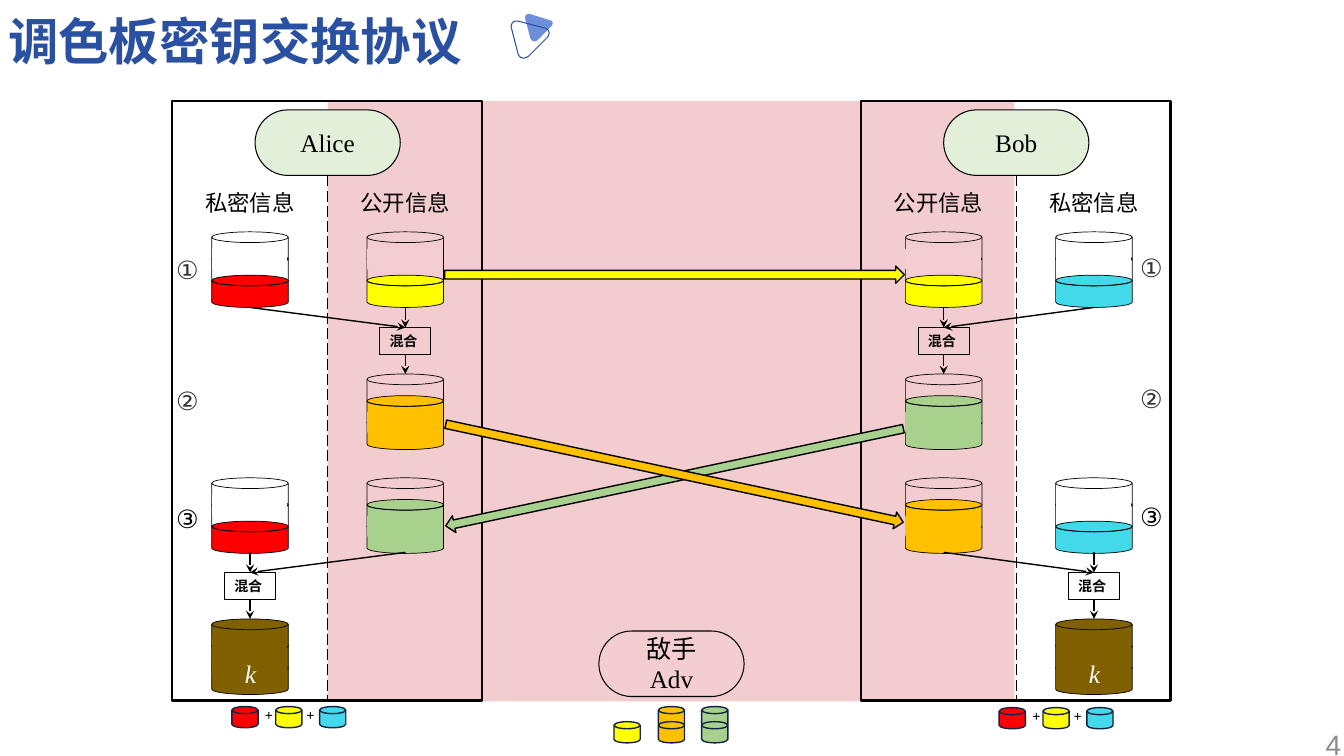
from lxml.etree import SubElement
from pptx import Presentation
from pptx.dml.color import RGBColor
from pptx.enum.dml import MSO_LINE
from pptx.enum.shapes import MSO_CONNECTOR, MSO_SHAPE as Preset
from pptx.enum.text import MSO_ANCHOR as Anchor, MSO_AUTO_SIZE as AutoSize, PP_ALIGN as Align
from pptx.oxml.ns import qn
from pptx.util import Inches, Pt

BLACK = RGBColor(0x00, 0x00, 0x00)
WHITE = RGBColor(0xFF, 0xFF, 0xFF)
DARK_GREY = RGBColor(0x33, 0x33, 0x33)
GREY = RGBColor(0x8C, 0x8C, 0x8C)
TITLE_BLUE = RGBColor(0x2A, 0x50, 0xA1)
LIGHT_BLUE = RGBColor(0x6D, 0x8F, 0xD9)
NAVY = RGBColor(0x12, 0x23, 0x47)
PINK = RGBColor(0xF0, 0xC0, 0xC3)
PALE_PINK = RGBColor(0xF4, 0xCE, 0xD0)
ADVERSARY_PINK = RGBColor(0xF3, 0xCD, 0xCF)
PALE_GREEN = RGBColor(0xE2, 0xF0, 0xD9)
RED = RGBColor(0xFF, 0x00, 0x00)
CYAN = RGBColor(0x42, 0xDA, 0xEA)
YELLOW = RGBColor(0xFF, 0xFF, 0x00)
ORANGE = RGBColor(0xFF, 0xC0, 0x00)
GREEN = RGBColor(0xA9, 0xD1, 0x8E)
BROWN = RGBColor(0x80, 0x60, 0x00)

SERIF = "Times New Roman"
SANS = "Arial"
JAR_WIDTH = 0.76
DISK_STEP = 0.215
ALICE_PRIVATE, ALICE_PUBLIC, BOB_PUBLIC, BOB_PRIVATE = 2.1, 3.64, 8.98, 10.47
START_ROW, MIXED_ROW, RECEIVED_ROW, KEY_ROW = 2.3, 3.71, 4.74, 6.14


def paint(shape, fill, line, weight):
    shape.shadow.inherit = False
    if fill is None:
        shape.fill.background()
    else:
        shape.fill.solid()
        shape.fill.fore_color.rgb = fill
    if line is None:
        shape.line.fill.background()
    else:
        shape.line.color.rgb = line
        shape.line.width = Pt(weight)


def add_preset(shapes, preset, box, fill=None, line=None, weight=1):
    shape = shapes.add_shape(preset, *map(Inches, box))
    paint(shape, fill, line, weight)
    return shape


def write(shape, text, size, color, font, align=Align.LEFT, anchor=Anchor.TOP,
          bold=False, italic=False, wrap=True):
    frame = shape.text_frame
    frame.text = text
    frame.word_wrap = wrap
    frame.vertical_anchor = anchor
    for paragraph in frame.paragraphs:
        paragraph.alignment = align
        paragraph.font.size = Pt(size)
        paragraph.font.name = font
        paragraph.font.color.rgb = color
        paragraph.font.bold = bold
        paragraph.font.italic = italic


def add_label(shapes, box, text, size, color, font, **style):
    label = shapes.add_textbox(*map(Inches, box))
    write(label, text, size, color, font, **style)
    return label


def add_jar(shapes, left, top, paint_color, filled, backdrop=WHITE):
    jar = shapes.add_group_shape().shapes
    for level in range(3):
        add_preset(jar, Preset.FLOWCHART_MAGNETIC_DISK,
                   (left, top + (2 - level) * DISK_STEP, JAR_WIDTH, 0.32),
                   paint_color if level < filled else None, BLACK, 0.5)
    seams = {1: [(0.18, backdrop)], 2: [(0.39, paint_color)],
             3: [(0.18, paint_color), (0.38, paint_color)]}
    for offset, color in seams[filled]:
        add_preset(jar, Preset.RECTANGLE, (left + 0.02, top + offset, 0.71, 0.18),
                   color, color, 3)


def add_line(shapes, start, end, arrow=False):
    line = shapes.add_connector(MSO_CONNECTOR.STRAIGHT, *map(Inches, (*start, *end)))
    line.line.color.rgb = BLACK
    line.line.width = Pt(1)
    if arrow:
        SubElement(line.line._get_or_add_ln(), qn("a:tailEnd"), type="stealth")
    else:
        line.line.dash_style = MSO_LINE.LONG_DASH
    SubElement(line._element.spPr, qn("a:effectLst"))
    return line


def add_mixer(shapes, jar_left, other_left, top):
    center, other = jar_left + JAR_WIDTH / 2, other_left + JAR_WIDTH / 2
    mixer = add_preset(shapes, Preset.RECTANGLE, (center - 0.255, top, 0.51, 0.27),
                       line=BLACK, weight=0.75)
    write(mixer, "混合", 10, BLACK, SERIF, bold=True)
    for source in (center, other):
        add_line(shapes, (source, top - 0.2), (center, top), arrow=True).end_connect(mixer, 0)
    outlet = add_line(shapes, (center, top + 0.27), (center, top + 0.46), arrow=True)
    outlet.begin_connect(mixer, 2)


def add_party(shapes, left, top, text, fill):
    pill = add_preset(shapes, Preset.ROUNDED_RECTANGLE, (left, top, 1.44, 0.65),
                      fill, BLACK, 0.75)
    pill.adjustments[0] = 0.5
    write(pill, text, 18, BLACK, SERIF, align=Align.CENTER, anchor=Anchor.MIDDLE)


def add_small_jar(shapes, left, top, color):
    add_preset(shapes, Preset.FLOWCHART_MAGNETIC_DISK, (left, top, 0.26, 0.21), color, NAVY)


def add_key_recipe(shapes, left, top):
    recipe = shapes.add_group_shape().shapes
    for index, color in enumerate((RED, YELLOW, CYAN)):
        add_small_jar(recipe, left + index * 0.435, top, color)
    for offset in (0.23, 0.64):
        add_label(recipe, (left + offset, top - 0.05, 0.27, 0.27), "+", 10, BLACK, SANS)


def add_rounded_triangle(shapes, corners, fill=None, line=None):
    points = []
    for start, control, end in corners:
        for step in range(9):
            t = step / 8
            points.append(tuple(
                Inches((1 - t) ** 2 * a + 2 * t * (1 - t) * b + t ** 2 * c)
                for a, b, c in zip(start, control, end)))
    builder = shapes.build_freeform(*points[0])
    builder.add_line_segments(points[1:], close=True)
    paint(builder.convert_to_shape(), fill, line, 0.75)


def main():
    deck = Presentation()
    deck.slide_width, deck.slide_height = Inches(13.33), Inches(7.5)
    shapes = deck.slides.add_slide(deck.slide_layouts[6]).shapes

    public_zone = add_preset(shapes, Preset.RECTANGLE, (3.25, 1, 6.81, 5.96), PINK)
    SubElement(public_zone._element.xpath(".//a:srgbClr")[0], qn("a:alpha"), val="80000")
    for left in (1.71, 8.54):
        add_preset(shapes, Preset.RECTANGLE, (left, 1, 3.07, 5.95), line=BLACK, weight=1.5)
    for left, text in ((1.71, "私密信息"), (3.25, "公开信息"),
                       (8.54, "公开信息"), (10.08, "私密信息")):
        add_label(shapes, (left, 1.83, 1.54, 0.37), text, 16, BLACK, SERIF, align=Align.CENTER)

    for private, public, secret, mixed, received in (
            (ALICE_PRIVATE, ALICE_PUBLIC, RED, ORANGE, GREEN),
            (BOB_PRIVATE, BOB_PUBLIC, CYAN, GREEN, ORANGE)):
        add_jar(shapes, private, START_ROW, secret, 1)
        add_jar(shapes, public, START_ROW, YELLOW, 1, PALE_PINK)
        add_jar(shapes, public, MIXED_ROW, mixed, 2)
        add_jar(shapes, private, RECEIVED_ROW, secret, 1)
        add_jar(shapes, public, RECEIVED_ROW, received, 2)
        add_jar(shapes, private, KEY_ROW, BROWN, 3)
        add_mixer(shapes, public, private, 3.25)
        add_mixer(shapes, private, public, 5.68)
        add_label(shapes, (private + 0.23, 6.48, 0.31, 0.4), "k", 18, WHITE, SERIF,
                  italic=True, wrap=False)

    for left, lift in ((1.65, 0), (11.21, 0.02)):
        for top, number, color in ((2.47, "①", DARK_GREY), (3.77, "②", DARK_GREY),
                                   (4.94, "③", BLACK)):
            add_label(shapes, (left, top - lift, 0.46, 0.4), number, 18, color, SANS)

    for box, angle, color in (((4.41, 2.64, 4.56, 0.17), 0, YELLOW),
                              ((4.37, 4.65, 4.64, 0.17), 168, GREEN),
                              ((4.37, 4.61, 4.64, 0.17), 12.1, ORANGE)):
        add_preset(shapes, Preset.RIGHT_ARROW, box, color, BLACK).rotation = angle

    add_party(shapes, 5.94, 6.26, "敌手\nAdv", ADVERSARY_PINK)
    add_party(shapes, 9.36, 1.09, "Bob", PALE_GREEN)
    add_party(shapes, 2.53, 1.09, "Alice", PALE_GREEN)
    for x in (3.25, 10.08):
        add_line(shapes, (x, 1.74), (x, 6.95))

    overheard = shapes.add_group_shape().shapes
    for left, top, color in ((6.53, 7.01, ORANGE), (6.96, 7.01, GREEN), (6.09, 7.16, YELLOW),
                             (6.53, 7.16, ORANGE), (6.96, 7.16, GREEN)):
        add_small_jar(overheard, left, top, color)
    add_key_recipe(shapes, 2.3, 7.01)
    add_key_recipe(shapes, 9.91, 7.02)

    add_label(shapes, (10.4, 7.18, 3, 0.4), "4", 20, GREY, SANS,
              align=Align.RIGHT, anchor=Anchor.MIDDLE)
    title = add_label(shapes, (0.08, 0.1, 4.5, 0.5), "调色板密钥交换协议", 36, TITLE_BLUE,
                      SANS, bold=True, wrap=False).text_frame
    title.auto_size = AutoSize.NONE
    title.margin_left = title.margin_right = title.margin_top = title.margin_bottom = 0

    ornament = shapes.add_group_shape().shapes
    add_rounded_triangle(ornament, (((5.33, 0.4), (5.29, 0.43), (5.26, 0.38)),
                                    ((5.21, 0.19), (5.2, 0.13), (5.26, 0.14)),
                                    ((5.45, 0.2), (5.5, 0.21), (5.47, 0.26))), fill=LIGHT_BLUE)
    add_rounded_triangle(ornament, (((5.24, 0.56), (5.17, 0.6), (5.14, 0.54)),
                                    ((5.07, 0.27), (5.07, 0.2), (5.14, 0.21)),
                                    ((5.41, 0.28), (5.47, 0.31), (5.43, 0.37))), line=TITLE_BLUE)
    deck.save("out.pptx")


if __name__ == "__main__":
    main()
